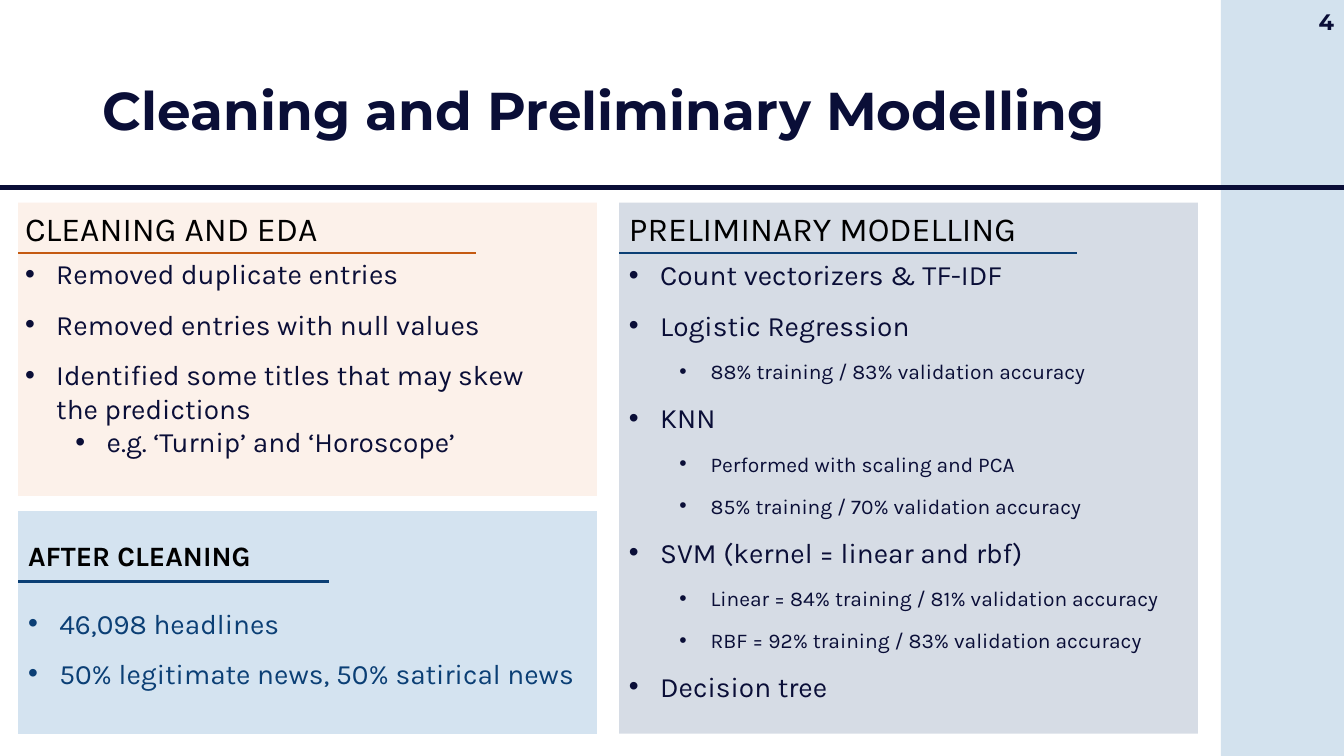
import pptx
import pptx.util
import pptx.dml.color
import pptx.enum.shapes
import pptx.enum.text
import pptx.oxml.ns
from lxml import etree

Inches, Pt = pptx.util.Inches, pptx.util.Pt
PP_ALIGN = pptx.enum.text.PP_ALIGN
ANCHOR = pptx.enum.text.MSO_ANCHOR
qn = pptx.oxml.ns.qn

TITLE = "Cleaning and Preliminary Modelling"
PAGE = "4"
CLEANING_HEAD = "CLEANING AND EDA"
CLEANING = [
    (0, "Removed duplicate entries"),
    (0, "Removed entries with null values"),
    (0, "Identified some titles that may skew the predictions"),
    (1, "e.g. ‘Turnip’ and ‘Horoscope’"),
]
MODELLING_HEAD = "PRELIMINARY MODELLING"
MODELLING = [
    (0, "Count vectorizers & TF-IDF"),
    (0, "Logistic Regression"),
    (1, "88% training / 83% validation accuracy"),
    (0, "KNN"),
    (1, "Performed with scaling and PCA"),
    (1, "85% training / 70% validation accuracy"),
    (0, "SVM (kernel = linear and rbf)"),
    (1, "Linear = 84% training / 81% validation accuracy"),
    (1, "RBF = 92% training / 83% validation accuracy"),
    (0, "Decision tree"),
]
AFTER_HEAD = "AFTER CLEANING"
AFTER = [("46,098 headlines", 2), ("50% legitimate news, 50% satirical news", 1.5)]


class Theme:
    navy, blue, orange, black = "0A0E37", "0B3F75", "C55A11", "000000"
    band, peach, grey, sky = "6EA0C9", "FBE5D6", "D6DCE5", "D4E3F0"
    display, body = "Montserrat", "Karla"
    title, head, text, sub, page = 38, 24, 20, 15, 16
    rule, divider = 2, 3.5
    indent, step = 0.31, 0.5


def rgb(color):
    return pptx.dml.color.RGBColor.from_string(color)


def add_panel(x, y, w, h, color, alpha=None):
    sp = slide.shapes.add_shape(pptx.enum.shapes.MSO_SHAPE.RECTANGLE,
                                Inches(x), Inches(y), Inches(w), Inches(h))
    sp.shadow.inherit = False
    sp.fill.solid()
    sp.fill.fore_color.rgb = rgb(color)
    sp.line.fill.background()
    if alpha:
        clr = sp.fill._xPr.find(".//" + qn("a:srgbClr"))
        etree.SubElement(clr, qn("a:alpha")).set("val", str(alpha * 1000))


def add_rule(x, y, w, color, width=Theme.rule):
    ln = slide.shapes.add_connector(pptx.enum.shapes.MSO_CONNECTOR.STRAIGHT,
                                    Inches(x), Inches(y), Inches(x + w), Inches(y))
    ln.line.color.rgb = rgb(color)
    ln.line.width = Pt(width)
    etree.SubElement(ln._element.spPr, qn("a:effectLst"))


def add_box(x, y, w, h, anchor=ANCHOR.TOP):
    tf = slide.shapes.add_textbox(Inches(x), Inches(y), Inches(w), Inches(h)).text_frame
    tf.word_wrap = True
    tf.vertical_anchor = anchor
    return tf


def write(tf, text, size=Theme.text, color=Theme.navy, font=Theme.body, bold=False,
          align=PP_ALIGN.LEFT, spacing=None, after=0, level=None):
    p = tf.paragraphs[0] if not tf.paragraphs[0].runs else tf.add_paragraph()
    p.alignment = align
    p.space_before, p.space_after = Pt(0), Pt(after)
    if spacing:
        p.line_spacing = spacing
    if level is not None:
        p.level = level
        pPr = p._p.get_or_add_pPr()
        pPr.set("marL", str(Inches(Theme.indent + level * Theme.step)))
        pPr.set("indent", str(-Inches(Theme.indent)))
        etree.SubElement(pPr, qn("a:buFont")).set("typeface", "Arial")
        etree.SubElement(pPr, qn("a:buChar")).set("char", "•")
    r = p.add_run()
    r.text = text
    r.font.size, r.font.name, r.font.bold = Pt(size), font, bold
    r.font.color.rgb = rgb(color)


prs = pptx.Presentation()
prs.slide_width, prs.slide_height = Inches(13.33), Inches(7.5)
slide = prs.slides.add_slide(prs.slide_layouts[5])

LEFT, RIGHT, COL_W = 0.18, 6.14, 5.74
TOP, BOTTOM, AFTER_TOP = 2.01, 7.28, 5.07
HEAD_H, RULE_W = 0.5, 4.54
RULE_Y = TOP + HEAD_H

add_panel(12.11, 0, 1.22, 7.5, Theme.band, alpha=30)
add_panel(LEFT, TOP, COL_W, 2.91, Theme.peach, alpha=51)
add_panel(RIGHT, TOP, COL_W, BOTTOM - TOP, Theme.grey)
add_panel(LEFT, AFTER_TOP, COL_W, BOTTOM - AFTER_TOP, Theme.sky)

title = slide.shapes.title
title.left, title.top, title.width, title.height = map(Inches, (0.92, 0.4, 11.5, 1.45))
tf = title.text_frame
tf.auto_size = pptx.enum.text.MSO_AUTO_SIZE.NONE
tf.vertical_anchor = ANCHOR.MIDDLE
write(tf, TITLE, size=Theme.title, font=Theme.display, bold=True, spacing=0.9)
write(add_box(12.66, 0, 0.67, 0.42, ANCHOR.MIDDLE), PAGE, size=Theme.page,
      font=Theme.display, bold=True, align=PP_ALIGN.RIGHT)

add_rule(-0.04, 1.86, 13.48, Theme.navy, Theme.divider)
add_rule(LEFT, RULE_Y, RULE_W, Theme.orange)
add_rule(RIGHT, RULE_Y, RULE_W, Theme.blue)
add_rule(LEFT, 5.77, 3.08, Theme.blue)

write(add_box(0.15, TOP, RULE_W, HEAD_H), CLEANING_HEAD, size=Theme.head, color=Theme.black)
write(add_box(RIGHT, TOP, COL_W, HEAD_H), MODELLING_HEAD, size=Theme.head, color=Theme.black)

tf = add_box(0.15, 2.5, 5.57, 3.13)
for i, (level, text) in enumerate(CLEANING):
    write(tf, text, level=level, after=12 if i < 2 else 0)

tf = add_box(RIGHT, RULE_Y, 5.57, 4.56)
for level, text in MODELLING:
    write(tf, text, level=level, after=12, size=Theme.sub if level else Theme.text)

tf = add_box(LEFT, 5.13, COL_W, 2.23)
write(tf, AFTER_HEAD, color=Theme.black, bold=True, spacing=1.5)
for text, spacing in AFTER:
    write(tf, text, color=Theme.blue, spacing=spacing, level=0)

prs.save("out.pptx")
